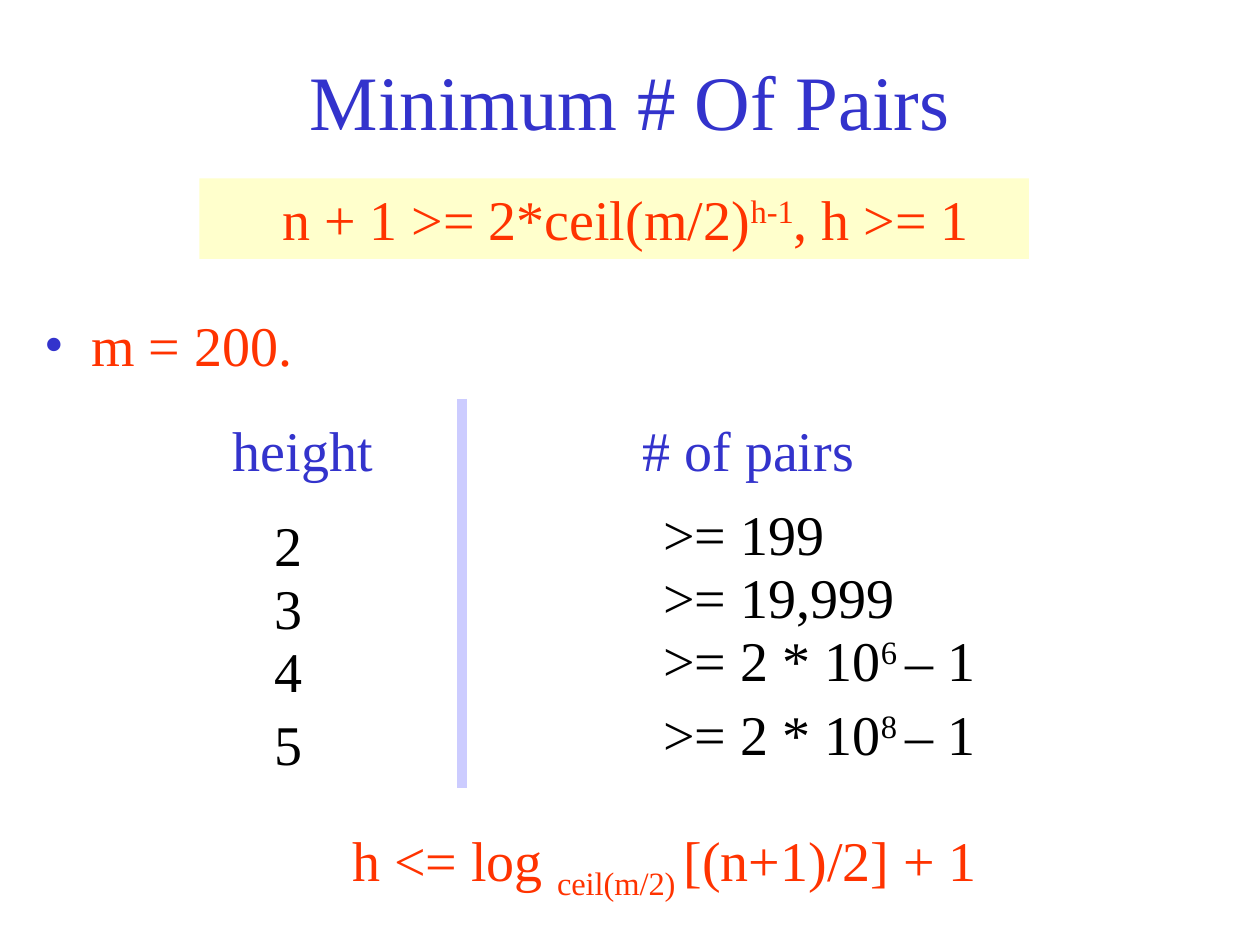
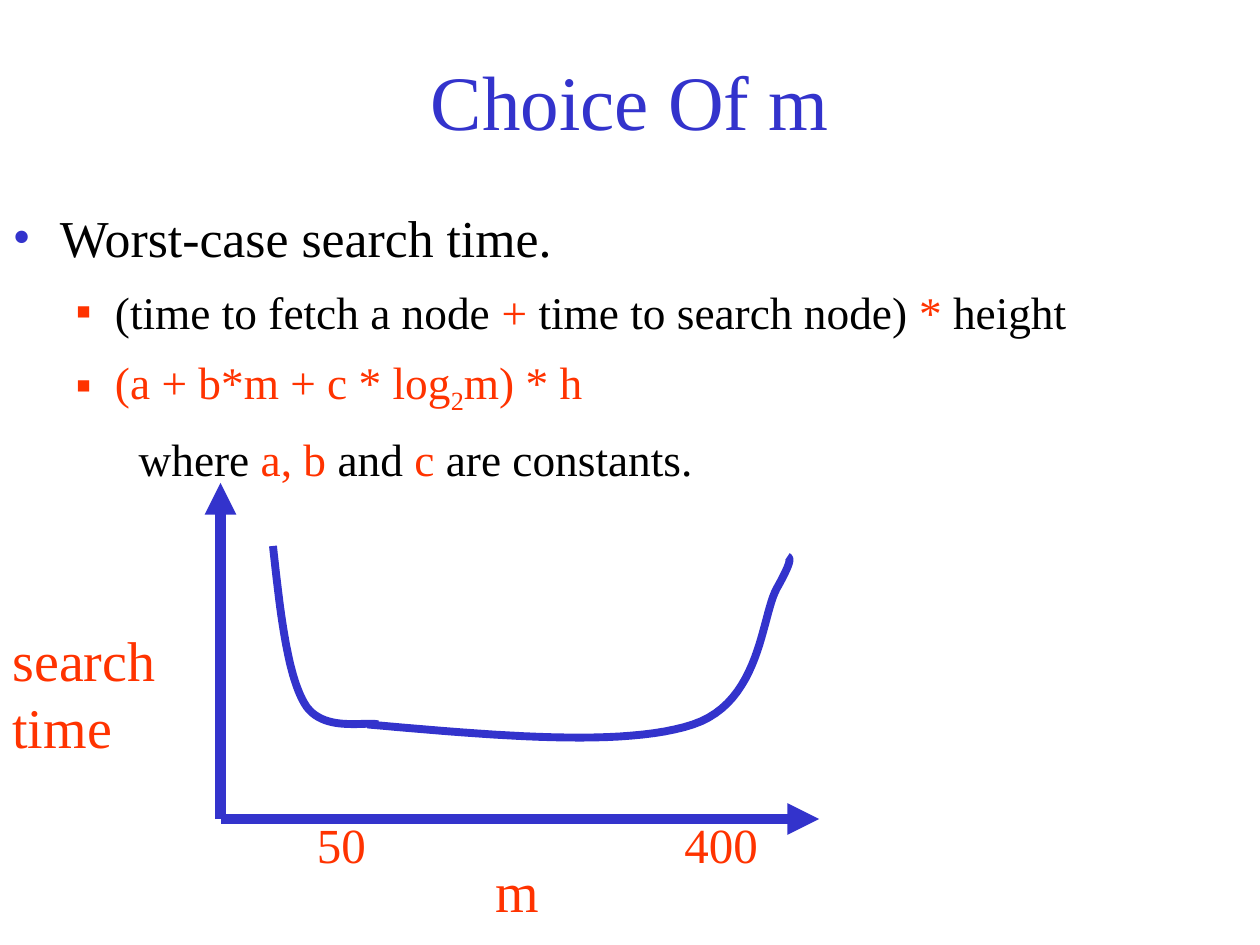
from lxml.etree import SubElement as Sub
from pptx import Presentation
from pptx.dml.color import RGBColor
from pptx.enum.shapes import MSO_CONNECTOR as Link, MSO_SHAPE as Shape
from pptx.enum.text import MSO_ANCHOR as Anchor, MSO_AUTO_SIZE as Fit, PP_ALIGN as Align
from pptx.oxml.ns import qn
from pptx.util import Pt

rgb = RGBColor.from_string
BLUE, RED, BLACK = "3333CC", "FF3300", "000000"
PALE, CREAM, WHITE = "CCCCFF", "FFFFCC", "FFFFFF"
FONT = "Times New Roman"


def write(par, parts, size):
    """Add runs given as (text, colour) or (text, colour, baseline percent)."""
    for text, color, *base in parts:
        run = par.add_run()
        run.text = text
        run.font.name, run.font.size = FONT, Pt(size)
        run.font.color.rgb = rgb(color)
        if base:
            run._r.get_or_add_rPr().set("baseline", str(base[0] * 1000))


def label(slide, box, parts, size=32, fill=None, inset=7.2):
    """Place left-aligned text, on a plain rectangle if a fill is given."""
    place = [Pt(v) for v in box]
    if fill:
        shape = slide.shapes.add_shape(Shape.RECTANGLE, *place)
        shape.shadow.inherit = False
        shape.fill.solid()
        shape.fill.fore_color.rgb = rgb(fill)
        shape.line.fill.background()
    else:
        shape = slide.shapes.add_textbox(*place)
    frame = shape.text_frame
    frame.word_wrap = True
    frame.auto_size = Fit.NONE
    frame.vertical_anchor = Anchor.TOP
    frame.margin_left = Pt(inset)
    par = frame.paragraphs[0]
    par.alignment = Align.LEFT
    write(par, parts, size)


prs = Presentation()
prs.slide_width, prs.slide_height = Pt(720), Pt(540)

# Lists: (level, size, space before, left, hanging, bullet, bullet colour, runs)
pairs_list = [(0, 32, 8, 27, 27, "•", BLUE, [("m = 200.", RED)])]
choice_list = [
    (0, 29.6, 8, 27, 27, "•", BLUE, [("Worst-case search time.", BLACK)]),
    (1, 25.9, 9, 58.5, 22.5, "▪", RED, [
        ("(time to fetch a node ", BLACK), ("+", RED),
        (" time to search node) ", BLACK), ("*", RED), (" height", BLACK)]),
    (1, 25.9, 9, 58.5, 22.5, "▪", RED, [
        ("(a + b*m + c * log", RED), ("2", RED, -25), ("m) * h", RED)]),
    (2, 25.9, 9, 90, 18, None, None, [
        ("where ", BLACK), ("a, b ", RED), ("and ", BLACK), ("c ", RED),
        ("are constants.", BLACK)]),
]

# Titles and bodies
slides = []
for title, box, rows in [
    ("Minimum # Of Pairs", (18, 174, 612, 72), pairs_list),
    ("Choice Of m", (0, 114, 678, 168), choice_list),
]:
    slide = prs.slides.add_slide(prs.slide_layouts[1])
    slides.append(slide)
    head, body = slide.placeholders
    for holder, place in [(head, (54, 12, 612, 90)), (body, box)]:
        holder.left, holder.top, holder.width, holder.height = [Pt(v) for v in place]
        holder.text_frame.auto_size = Fit.NONE
    head.text_frame.vertical_anchor = Anchor.MIDDLE
    par = head.text_frame.paragraphs[0]
    par.alignment = Align.CENTER
    write(par, [(title, BLUE)], 44)

    frame = body.text_frame
    for n, (level, size, gap, left, hang, mark, color, parts) in enumerate(rows):
        par = frame.add_paragraph() if n else frame.paragraphs[0]
        par.level, par.space_before = level, Pt(gap)
        props = par._p.get_or_add_pPr()
        props.set("marL", str(Pt(left)))
        props.set("indent", str(-Pt(hang)))
        if mark:
            tint = Sub(props, qn("a:buClr"))
            Sub(tint, qn("a:srgbClr"), val=color)
            Sub(props, qn("a:buFont"), typeface=FONT)
            Sub(props, qn("a:buChar"), char=mark)
        else:
            Sub(props, qn("a:buNone"))
        write(par, parts, size)

pairs, choice = slides

# Rule and axes
for slide, ends, color, arrow in [
    (pairs, (264, 228, 264, 450), PALE, False),
    (choice, (126, 468, 126, 276), BLUE, True),
    (choice, (126, 468, 468, 468), BLUE, True),
]:
    line = slide.shapes.add_connector(Link.STRAIGHT, *[Pt(v) for v in ends])
    line.line.color.rgb = rgb(color)
    line.line.width = Pt(6)
    if arrow:
        Sub(line.line._get_or_add_ln(), qn("a:tailEnd"), type="triangle")
    Sub(line._element.spPr, qn("a:effectLst"))

# Formulas on the first slide
label(pairs, (114, 102, 474, 46),
      [("n + 1 >= 2*ceil(m/2)", RED), ("h-1", RED, 30), (", h >= 1", RED)],
      fill=CREAM, inset=47.2)
label(pairs, (114, 468, 474, 51),
      [("h <= log ", RED), ("ceil(m/2) ", RED, -25), ("[(n+1)/2] + 1", RED)],
      fill=WHITE, inset=87.2)

# Heights and pair counts
label(pairs, (126, 234, 108, 46), [("height", BLUE)])
label(pairs, (360, 234, 162, 46), [("# of pairs", BLUE)])
for height, top, count, power in [
    ("2", 288, ">= 199", None),
    ("3", 324, ">= 19,999", None),
    ("4", 360, ">= 2 * 10", "6 "),
    ("5", 402, ">= 2 * 10", "8 "),
]:
    parts = [(count, BLACK)]
    if power:
        parts += [(power, BLACK, 30), ("– 1", BLACK)]
    label(pairs, (150, top, 108, 46), [(height, BLACK)])
    label(pairs, (372, top - 6, 270, 46), parts)

# Search time curve: each list is a start point and three points per Bezier arc
for knots in [
    [(156, 312), (160, 348.5), (164, 385), (174, 402),
     (184, 419), (209, 412), (216, 414)],
    [(210, 414), (283.5, 420.5), (357, 427), (396, 414),
     (435, 401), (435, 352), (444, 336), (453, 320), (451.5, 319), (450, 318)],
]:
    spots = []
    for i in range(0, len(knots) - 1, 3):
        arc = knots[i:i + 4]
        for step in range(1, 25):
            t = step / 24
            mix = ((1 - t) ** 3, 3 * t * (1 - t) ** 2, 3 * t * t * (1 - t), t ** 3)
            spots.append([Pt(sum(m * k[axis] for m, k in zip(mix, arc)))
                          for axis in (0, 1)])
    pen = choice.shapes.build_freeform(*[Pt(v) for v in knots[0]])
    pen.add_line_segments(spots, close=False)
    curve = pen.convert_to_shape()
    curve.shadow.inherit = False
    curve.fill.background()
    curve.line.color.rgb = rgb(BLUE)
    curve.line.width = Pt(4.5)

# Axis labels
for text, box, size in [
    ("m", (276, 486, 126, 46), 32),
    ("search time", (0, 354, 126, 84), 32),
    ("50", (174, 462, 126, 41), 28),
    ("400", (384, 462, 126, 41), 28),
]:
    label(choice, box, [(text, RED)], size)

prs.save("out.pptx")
